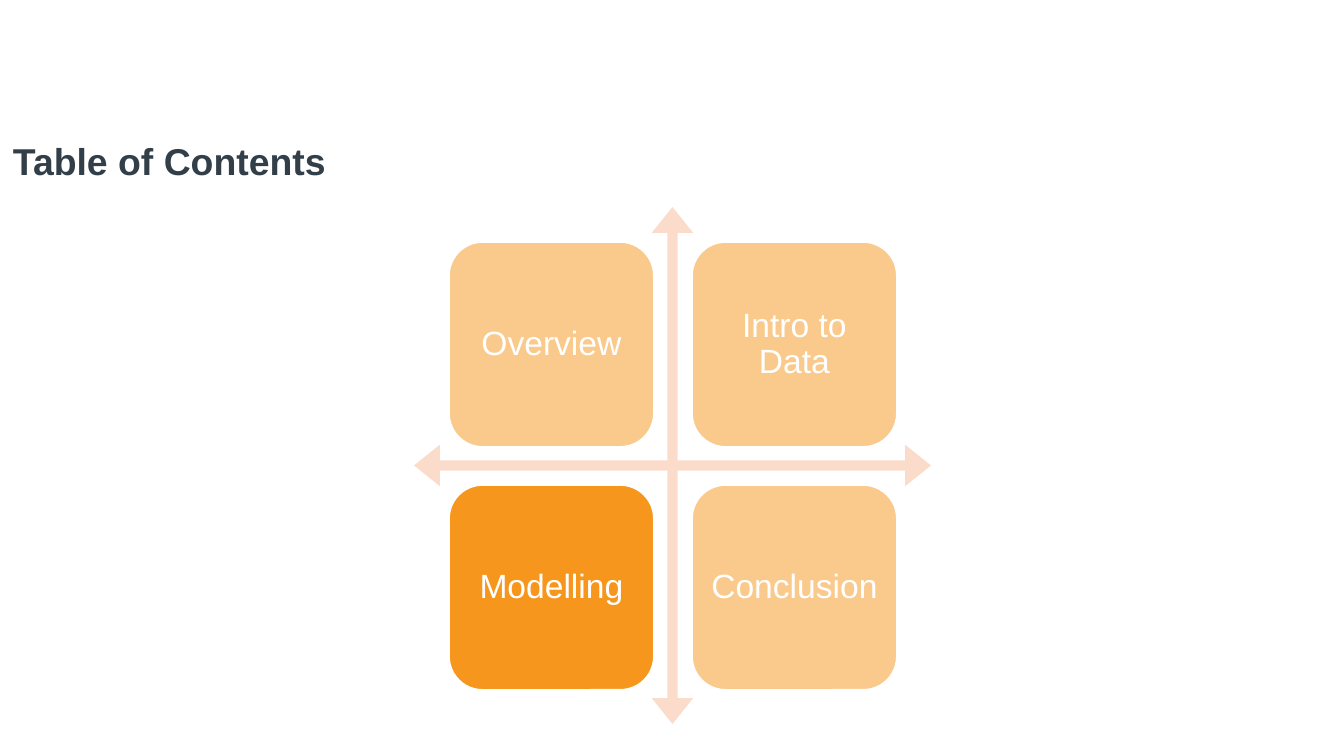
from dataclasses import dataclass

from lxml.etree import SubElement
from pptx import Presentation
from pptx.dml.color import RGBColor
from pptx.enum.shapes import MSO_SHAPE
from pptx.enum.text import MSO_ANCHOR, PP_ALIGN
from pptx.oxml.ns import qn
from pptx.util import Emu, Pt

SCALE = 9144000 / 1344


@dataclass(frozen=True)
class Theme:
    font: str = "Arial"
    title_size: int = 20
    tile_size: int = 18
    border: int = 2
    ink: str = "333F48"
    white: str = "FFFFFF"
    orange: str = "F7961C"
    peach: str = "FBDCCA"


THEME = Theme()
TILES = (("Overview", "Intro to Data"), ("Modelling", "Conclusion"))
ACTIVE_TILE = "Modelling"
TILE_LEFT, TILE_TOP, TILE_SIDE, TILE_PITCH = 448, 241, 207, 243


def px(length):
    return Emu(round(length * SCALE))


def apply_format(target, values):
    for name, value in values.items():
        setattr(target, name, value)


def write_text(box, text, size, color, inset, bold=False, **paragraph_format):
    frame = box.text_frame
    apply_format(frame, {
        "word_wrap": True,
        "vertical_anchor": MSO_ANCHOR.MIDDLE,
        "margin_left": px(inset[0]),
        "margin_right": px(inset[0]),
        "margin_top": px(inset[1]),
        "margin_bottom": px(inset[1]),
    })
    para = frame.paragraphs[0]
    apply_format(para, paragraph_format)
    span = para.add_run()
    span.text = text
    apply_format(span.font, {"name": THEME.font, "size": Pt(size), "bold": bold})
    span.font.color.rgb = RGBColor.from_string(color)


def add_title(page, text):
    box = page.shapes.add_textbox(px(0), px(98), px(1210), px(126))
    write_text(box, text, THEME.title_size, THEME.ink, (13, 7), bold=True)


def add_filled_shape(page, kind, left, top, side, color, adjustments):
    shape = page.shapes.add_shape(kind, px(left), px(top), px(side), px(side))
    shape.shadow.inherit = False
    shape.fill.solid()
    shape.fill.fore_color.rgb = RGBColor.from_string(color)
    shape.line.fill.background()
    for index, value in enumerate(adjustments):
        shape.adjustments[index] = value
    return shape


def set_opacity(shape, percent):
    color = shape.fill._xPr.find(qn("a:solidFill"))[0]
    SubElement(color, qn("a:alpha")).set("val", str(percent * 1000))


def add_tile(page, label, row, column):
    tile = add_filled_shape(
        page, MSO_SHAPE.ROUNDED_RECTANGLE,
        TILE_LEFT + column * TILE_PITCH, TILE_TOP + row * TILE_PITCH,
        TILE_SIDE, THEME.orange, [0.167],
    )
    tile.line.color.rgb = RGBColor.from_string(THEME.white)
    tile.line.width = Pt(THEME.border)
    if label != ACTIVE_TILE:
        set_opacity(tile, 50)
    write_text(tile, label, THEME.tile_size, THEME.white, (9, 9),
               alignment=PP_ALIGN.CENTER, line_spacing=0.9)


def main():
    deck = Presentation()
    apply_format(deck, {"slide_width": px(1344), "slide_height": px(756)})
    page = deck.slides.add_slide(deck.slide_layouts[6])
    add_title(page, "Table of Contents")
    add_filled_shape(page, MSO_SHAPE.QUAD_ARROW, 414, 207, 517,
                     THEME.peach, [0.02, 0.04, 0.05])
    for row, labels in enumerate(TILES):
        for column, label in enumerate(labels):
            add_tile(page, label, row, column)
    deck.save("out.pptx")


if __name__ == "__main__":
    main()
